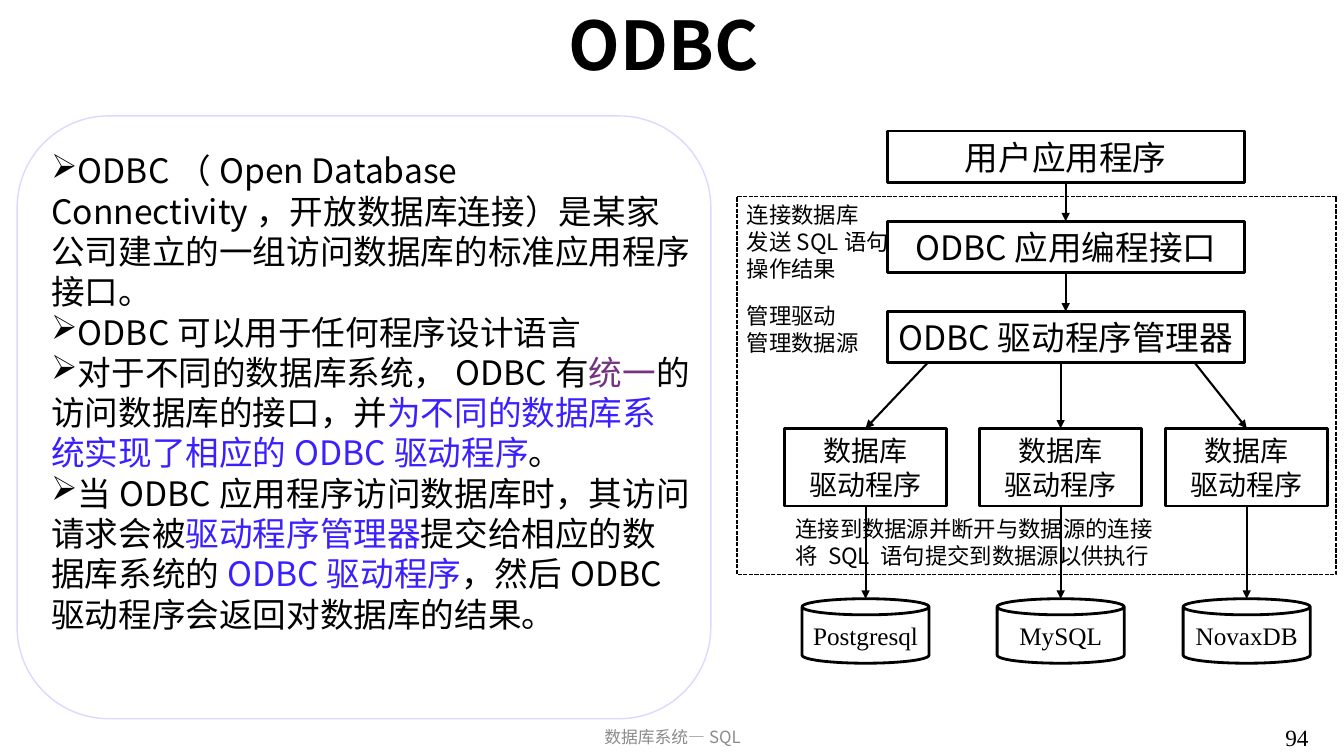
from lxml import etree
from pptx import Presentation
from pptx.dml.color import RGBColor
from pptx.enum.dml import MSO_LINE
from pptx.enum.shapes import MSO_CONNECTOR, MSO_SHAPE
from pptx.enum.text import MSO_ANCHOR, PP_ALIGN
from pptx.oxml.ns import qn
from pptx.util import Inches, Pt

LEFT, CENTER = PP_ALIGN.LEFT, PP_ALIGN.CENTER
TOP, MIDDLE = MSO_ANCHOR.TOP, MSO_ANCHOR.MIDDLE
RECTANGLE, ROUNDED, CAN = MSO_SHAPE.RECTANGLE, MSO_SHAPE.ROUNDED_RECTANGLE, MSO_SHAPE.CAN
STRAIGHT = MSO_CONNECTOR.STRAIGHT
SANS, SERIF = "Noto Sans CJK SC", "Times New Roman"
COLORS = {"black": "000000", "white": "FFFFFF", "panel": "DCD8FF",
          "purple": "743481", "blue": "3B20FF", "footer": "8C8C8C"}


def write(shape, paragraphs, size, font=SANS, color="black", align=LEFT,
          anchor=TOP, bold=False, bullet=None, side=0.1):
    """Fill a shape with paragraphs, each a list of (text, color or None) runs."""
    frame = shape.text_frame
    frame.word_wrap = True
    frame.vertical_anchor = anchor
    frame.margin_left = frame.margin_right = Inches(side)
    frame.margin_top = frame.margin_bottom = Inches(0.05)
    for index, runs in enumerate(paragraphs):
        paragraph = frame.paragraphs[0] if index == 0 else frame.add_paragraph()
        if bullet:
            properties = paragraph._p.get_or_add_pPr()
            properties.set("marL", "0")
            properties.set("indent", "0")
            etree.SubElement(properties, qn("a:buChar")).set("char", bullet)
        paragraph.alignment = align
        paragraph.line_spacing = Pt(round(size * 1.2, 1))
        paragraph.space_before = Pt(0)
        paragraph.font.size = Pt(size)
        paragraph.font.bold = bold
        paragraph.font.color.rgb = RGBColor.from_string(COLORS[color])
        paragraph.font.name = font
        defaults = paragraph._p.pPr.find(qn("a:defRPr"))
        etree.SubElement(defaults, qn("a:ea")).set("typeface", font)
        for text, run_color in runs:
            for number, line in enumerate(text.split("\n")):
                if number:
                    paragraph.add_line_break()
                run = paragraph.add_run()
                run.text = line
                if run_color:
                    run.font.color.rgb = RGBColor.from_string(COLORS[run_color])


def outline(kind, box, line="black", width=2, fill="white"):
    shape = slide.shapes.add_shape(kind, *map(Inches, box))
    shape.shadow.inherit = False
    if fill:
        shape.fill.solid()
        shape.fill.fore_color.rgb = RGBColor.from_string(COLORS[fill])
    else:
        shape.fill.background()
    shape.line.color.rgb = RGBColor.from_string(COLORS[line])
    shape.line.width = Pt(width)
    return shape


presentation = Presentation()
presentation.slide_width, presentation.slide_height = Inches(13.33), Inches(7.5)
slide = presentation.slides.add_slide(presentation.slide_layouts[5])

# Title
title = slide.shapes.title
title.left, title.top, title.width, title.height = map(Inches, (1.06, 0.06, 11.04, 0.74))
write(title, [[("ODBC", None)]], 48, align=CENTER, anchor=MIDDLE, bold=True)

# Explanation panel
panel = outline(ROUNDED, (0.17, 1.15, 6.88, 5.98), "panel", 1)
panel.adjustments[0] = 0.152
explanation = [
    [("ODBC（Open Database Connectivity，开放数据库连接）是某家公司建立的一组访问数据库的标准应用程序接口。", None)],
    [("ODBC可以用于任何程序设计语言", None)],
    [("对于不同的数据库系统，ODBC有", None), ("统一", "purple"),
     ("的访问数据库的接口，并", None),
     ("为不同的数据库系统实现了相应的ODBC驱动程序", "blue"), ("。", None)],
    [("当ODBC应用程序访问数据库时，其访问请求会被", None),
     ("驱动程序管理器", "blue"), ("提交给相应的数据库系统的", None),
     ("ODBC驱动程序", "blue"), ("，然后ODBC驱动程序会返回对数据库的结果。", None)],
]
body = slide.shapes.add_textbox(*map(Inches, (0.41, 1.44, 6.53, 5.48)))
write(body, explanation, 24, bullet="➢")

# Layers, drivers and databases
layers = []
for row, name in enumerate(["用户应用程序", "ODBC应用编程接口", "ODBC驱动程序管理器"]):
    layer = outline(RECTANGLE, (8.8, 1.3 + 0.895 * row, 3.54, 0.51))
    write(layer, [[(name, None)]], 24, align=CENTER, anchor=MIDDLE, side=0.05)
    layers.append(layer)

arrows = []
for upper, lower in zip(layers, layers[1:]):
    arrow = slide.shapes.add_connector(STRAIGHT, 0, 0, 0, 0)
    arrow.begin_connect(upper, 2)
    arrow.end_connect(lower, 0)
    arrows.append(arrow)

# Column centre, start of its arrow under the manager, database
for center, start, database_name in [(8.585, 9.2, "Postgresql"),
                                     (10.52, 10.52, "MySQL"),
                                     (12.365, 11.85, "NovaxDB")]:
    driver = outline(RECTANGLE, (center - 0.805, 4.25, 1.61, 0.77))
    write(driver, [[("数据库\n驱动程序", None)]], 20, align=CENTER, anchor=MIDDLE)
    database = outline(CAN, (center - 0.63, 5.94, 1.26, 0.64))
    write(database, [[(database_name, None)]], 18, SERIF, align=CENTER,
          anchor=MIDDLE, side=0.02)

    request = slide.shapes.add_connector(
        STRAIGHT, Inches(start), Inches(3.6), Inches(center), Inches(4.25))
    request.end_connect(driver, 0)
    access = slide.shapes.add_connector(
        STRAIGHT, Inches(center), Inches(5.02), Inches(center), Inches(5.94))
    access.begin_connect(driver, 2)
    arrows += [request, access]

for arrow in arrows:
    arrow.line.color.rgb = RGBColor.from_string(COLORS["black"])
    arrow.line.width = Pt(1.5)
    etree.SubElement(arrow.line._get_or_add_ln(), qn("a:tailEnd")).set("type", "triangle")
    etree.SubElement(arrow._element.spPr, qn("a:effectLst"))

# Labels, footer and page number
for box, lines, size, font, color, align in [
    ((7.31, 1.95, 1.87, 0.91), ["连接数据库\n发送SQL语句\n操作结果"], 16, SANS, "black", LEFT),
    ((7.31, 2.95, 1.87, 0.64), ["管理驱动", "管理数据源"], 16, SANS, "black", LEFT),
    ((7.79, 5.06, 4.62, 0.64),
     ["连接到数据源并断开与数据源的连接", "将 SQL 语句提交到数据源以供执行"],
     16, SANS, "black", LEFT),
    ((4.42, 7.16, 4.5, 0.34), ["数据库系统—SQL"], 12, SANS, "footer", CENTER),
    ((12.65, 7.13, 0.68, 0.37), ["94"], 16.6, SERIF, "black", LEFT),
]:
    label = slide.shapes.add_textbox(*map(Inches, box))
    write(label, [[(line, None)] for line in lines], size, font, color, align)

boundary = outline(RECTANGLE, (7.31, 1.95, 5.94, 3.75), width=1, fill=None)
boundary.line.dash_style = MSO_LINE.SQUARE_DOT

presentation.save("out.pptx")
